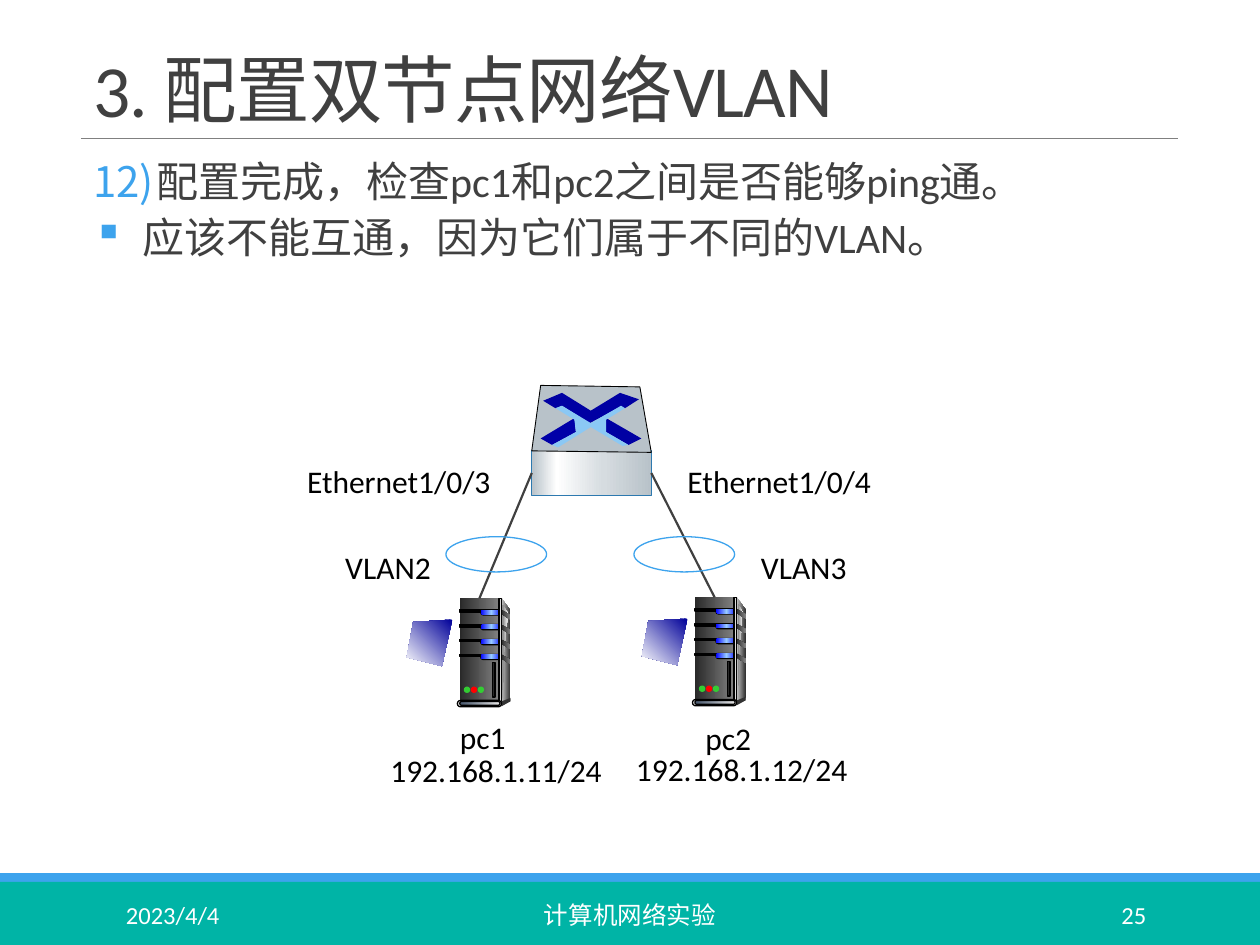
"""Build the slide on configuring VLANs in a two-node network."""
from dataclasses import dataclass, field
from typing import NamedTuple, Optional

from lxml.etree import SubElement
from pptx import Presentation
from pptx.dml.color import RGBColor
from pptx.enum.shapes import MSO_CONNECTOR as Link, MSO_SHAPE as Preset
from pptx.enum.text import MSO_ANCHOR as Anchor, MSO_AUTO_SIZE as Fit, PP_ALIGN as Align
from pptx.oxml.ns import qn
from pptx.util import Cm, Pt

WHITE, BLACK = RGBColor(255, 255, 255), RGBColor(0, 0, 0)
SKY, TEAL = RGBColor(0x3D, 0xA3, 0xED), RGBColor(0x00, 0xB4, 0xA6)
INK, RULE = RGBColor(0x40, 0x40, 0x40), RGBColor(0x80, 0x80, 0x80)
COAL, SOOT = RGBColor(0x29, 0x29, 0x29), RGBColor(0x33, 0x33, 0x33)
SILVER, PEARL = RGBColor(0xDD, 0xDD, 0xDD), RGBColor(0xF8, 0xF8, 0xF8)
BLUE, ICE = RGBColor(0, 0, 0xFF), RGBColor(0x99, 0xCC, 0xFF)
SLATE, MIST = RGBColor(0x44, 0x54, 0x6A), RGBColor(0xE7, 0xE6, 0xE6)
GREEN, RED = RGBColor(0x33, 0xCC, 0x33), RGBColor(0xFF, 0, 0)
NAVY, ROYAL, ROYAL_LEFT = RGBColor(0, 0, 0x99), RGBColor(0, 0, 0xA3), RGBColor(0, 0, 0xA8)
STEEL, FOG = RGBColor(0xB8, 0xC2, 0xC9), RGBColor(0xD6, 0xDC, 0xE0)
EDGE, GLOW = RGBColor(0x2D, 0x79, 0xAF), RGBColor(0x8B, 0xC8, 0xF4)


class Look(NamedTuple):
    """Gradient or solid fill as (percent, colour) stops, with an outline."""
    stops: tuple = ()
    line: Optional[RGBColor] = None
    width: float = 0.75
    angle: int = 0


def solid(color: RGBColor, line: Optional[RGBColor] = None, width: float = 0.75) -> Look:
    """Return a one-colour look."""
    return Look(((0, color),), line, width)


SHADE = Look(((0, COAL), (100, RULE)))
LAMP = Look(((0, BLUE), (50, ICE), (100, BLUE)))


@dataclass
class Label:
    """A text box holding one paragraph."""
    text: str
    left: float
    top: float
    width: float
    height: float = 1.02
    font: dict = field(default_factory=lambda: {"size": Pt(18)})
    frame: dict = field(default_factory=lambda: {"word_wrap": False, "auto_size": Fit.SHAPE_TO_FIT_TEXT})
    para: dict = field(default_factory=dict)
    color: RGBColor = BLACK


def apply(target, values: dict) -> None:
    """Set every named attribute on the target."""
    for name, value in values.items():
        setattr(target, name, value)


def paint(shape, look: Look):
    """Give a shape its fill and outline."""
    shape.shadow.inherit = False
    if not look.stops:
        shape.fill.background()
    elif len(look.stops) == 1:
        shape.fill.solid()
        shape.fill.fore_color.rgb = look.stops[0][1]
    else:
        shape.fill.gradient()
        shape.fill.gradient_angle = look.angle
        stop_list = shape._element.spPr.find(qn("a:gradFill")).find(qn("a:gsLst"))
        for old in list(stop_list):
            stop_list.remove(old)
        for percent, color in look.stops:
            stop = SubElement(stop_list, qn("a:gs"), pos=str(percent * 1000))
            SubElement(stop, qn("a:srgbClr"), val=str(color))
    if look.line is None:
        shape.line.fill.background()
    else:
        shape.line.color.rgb = look.line
        shape.line.width = Pt(look.width)
    return shape


def add_preset(page, kind, left: float, top: float, width: float, height: float, look: Look):
    """Draw a preset shape."""
    shape = page.shapes.add_shape(kind, Cm(left), Cm(top), Cm(width), Cm(height))
    if kind == Preset.ROUNDED_RECTANGLE:
        shape.adjustments[0] = 0.5
    return paint(shape, look)


def add_outline(page, points: list, look: Look, left: float = 0, top: float = 0):
    """Draw a closed polygon offset from a corner."""
    corners = [(Cm(left + x), Cm(top + y)) for x, y in points]
    builder = page.shapes.build_freeform(*corners[0], scale=1.0)
    builder.add_line_segments(corners[1:], close=True)
    return paint(builder.convert_to_shape(), look)


def add_line(page, start: tuple, end: tuple, color: RGBColor, width: float):
    """Draw a straight line without a shadow."""
    line = page.shapes.add_connector(Link.STRAIGHT, *map(Cm, start + end))
    line.line.color.rgb = color
    line.line.width = Pt(width)
    SubElement(line._element.spPr, qn("a:effectLst"))
    return line


def write(para, text: str, font: dict, color: RGBColor):
    """Add a run of text to a paragraph."""
    span = para.add_run()
    span.text = text
    apply(span.font, {"name": "Calibri", **font})
    span.font.color.rgb = color
    return span


def add_label(page, label: Label):
    """Draw a label and return its run."""
    box = page.shapes.add_textbox(Cm(label.left), Cm(label.top), Cm(label.width), Cm(label.height))
    apply(box.text_frame, label.frame)
    para = box.text_frame.paragraphs[0]
    apply(para, label.para)
    return write(para, label.text, label.font, label.color)


def add_bullet(para, margin: float, hang: float, tag: str, **values: str) -> None:
    """Give a paragraph a coloured bullet and a hanging indent."""
    props = para._p.get_or_add_pPr()
    props.set("marL", str(Cm(margin)))
    props.set("indent", str(-Cm(hang)))
    SubElement(SubElement(props, qn("a:buClr")), qn("a:srgbClr"), val=str(SKY))
    SubElement(props, qn(tag), **values)


def add_server(page, left: float, top: float):
    """Draw a tower computer with its screen and return the front panel."""
    def part(kind, x, y, width, height, look):
        return add_preset(page, kind, left + x, top + y, width, height, look)

    def panel(points, look):
        return add_outline(page, points, look, left, top)

    rect, pill, disc = Preset.RECTANGLE, Preset.ROUNDED_RECTANGLE, Preset.OVAL
    panel([(0.84, 0), (1.02, 0.25), (1.02, 2.01), (0.81, 2.08)], Look(((0, SILVER), (100, SOOT))))
    front = part(rect, 0, 0, 0.79, 2.08, SHADE)
    panel([(0.86, 0.13), (0.97, 0.3), (0.89, 1.1), (0.86, 2.03)], Look(((0, RULE), (100, PEARL))))
    for row in range(4):
        y = 0.23 + 0.3 * row
        part(rect, 0, y, 0.46, 0.05, solid(BLACK, BLACK))
        part(pill, 0.41, y - 0.01, 0.43, 0.13, solid(BLACK))
        part(pill, 0.42, y, 0.43, 0.1, LAMP)
        panel([(0.83, y), (1.02, y + 0.11), (1.02, y + 0.2), (0.83, y + 0.08)], SHADE)
    part(rect, 0.79, 0, 0.05, 2.08, Look(((0, SOOT), (50, SILVER), (100, SOOT)), BLACK))
    part(disc, 0.99, 2.01, 0.03, 0.08, solid(SOOT))
    panel([(0.84, 2.08), (0.84, 2.18), (1.02, 2.08), (1.02, 2.01)], solid(SOOT))
    part(pill, -0.05, 2.06, 0.89, 0.13, solid(SILVER, BLACK))
    part(pill, 0, 2.08, 0.81, 0.08, Look(((0, SLATE), (100, MIST)), BLACK))
    for index, color in enumerate((GREEN, RED, GREEN)):
        part(disc, 0.08 + 0.14 * index, 1.78, 0.13, 0.13, solid(color))
    part(rect, 0.66, 1.3, 0.05, 0.69, solid(COAL, BLACK))
    panel([(-0.15, 0.43), (-0.94, 0.48), (-1.07, 1.19), (-0.36, 1.37)],
          Look(((0, NAVY), (100, WHITE)), angle=225))
    return front


def add_switch(page):
    """Draw the network switch and return its front."""
    front = add_preset(page, Preset.RECTANGLE, 10.72, 9.09, 2.41, 0.89,
                       Look(((0, STEEL), (21, WHITE), (60, FOG), (100, STEEL)), EDGE, 0.5))
    add_outline(page, [(10.72, 9.09), (10.9, 7.77), (12.9, 7.8), (13.13, 9.12)], solid(STEEL, BLACK, 0.5))
    add_outline(page, [(12.5, 7.92), (12.88, 8.05), (12.6, 8.23), (12.52, 8.2), (11.89, 8.53), (11.33, 8.18),
                       (11.2, 8.23), (10.95, 8.08), (11.33, 7.92), (11.91, 8.28)], solid(ROYAL))
    add_outline(page, [(12.22, 8.43), (12.93, 8.84), (12.67, 8.97), (12.22, 8.71)], solid(ROYAL))
    add_outline(page, [(11.58, 8.43), (11.61, 8.71), (11.13, 8.97), (10.9, 8.84)], solid(ROYAL_LEFT))
    add_outline(page, [(11.2, 8.23), (11.33, 8.18), (11.91, 8.53), (12.52, 8.18), (12.6, 8.23), (12.22, 8.46),
                       (12.22, 8.71), (12.67, 8.97), (12.55, 8.99), (11.91, 8.61), (11.25, 9.02),
                       (11.13, 8.97), (11.61, 8.71), (11.58, 8.46)], solid(GLOW))
    return front


def add_body(page) -> None:
    """Write the numbered step and its remark."""
    frame = page.shapes.add_textbox(Cm(1.63), Cm(3.12), Cm(22.12), Cm(14.12)).text_frame
    apply(frame, {"word_wrap": True, "margin_left": 0, "margin_right": 0})
    step, remark = frame.paragraphs[0], frame.add_paragraph()
    add_bullet(step, 1.52, 1.27, "a:buAutoNum", type="arabicParenR", startAt="12")
    add_bullet(remark, 1.24, 0.99, "a:buChar", char="▪")
    apply(step, {"level": 1, "line_spacing": 0.9, "space_after": Pt(4)})
    apply(remark, {"level": 2, "line_spacing": 0.9, "space_before": Pt(2), "space_after": Pt(4)})
    write(step, "配置完成，检查pc1和pc2之间是否能够ping通。", {"size": Pt(24)}, INK)
    write(remark, "应该不能互通，因为它们属于不同的VLAN。", {"size": Pt(24)}, INK)


def main() -> None:
    """Build and save the deck."""
    deck = Presentation()
    deck.slide_width, deck.slide_height = Cm(25.4), Cm(19.05)
    page = deck.slides.add_slide(deck.slide_layouts[6])
    add_preset(page, Preset.RECTANGLE, 0, 17.6, 25.4, 0.18, solid(SKY))
    add_preset(page, Preset.RECTANGLE, 0, 17.78, 25.4, 1.27, solid(TEAL))
    add_line(page, (1.63, 2.79), (23.75, 2.79), RULE, 0.5)
    title = add_label(page, Label("3. 配置双节点网络VLAN", 1.63, 0.79, 22.12, 2.01, {"size": Pt(42)},
                                  {"word_wrap": True, "vertical_anchor": Anchor.BOTTOM},
                                  {"line_spacing": 0.85}, INK))
    title.font._element.set("spc", "-50")
    add_body(page)
    for text, left, width, align in (("2023/4/4", 2.29, 5.16, Align.LEFT),
                                     ("计算机网络实验", 7.67, 10.06, Align.CENTER),
                                     ("25", 20.62, 2.74, Align.RIGHT)):
        add_label(page, Label(text, left, 17.93, width, 1.02, {"size": Pt(14)},
                              {"word_wrap": True, "vertical_anchor": Anchor.MIDDLE},
                              {"alignment": align}, WHITE))
    servers = [add_server(page, 9.27, 12.06), add_server(page, 14.01, 12.04)]
    switch = add_switch(page)
    for server, side in zip(servers, (1, 3)):
        cable = add_line(page, (0, 0), (1, 1), INK, 1.25)
        cable.begin_connect(server, 0)
        cable.end_connect(switch, side)
    for left in (8.99, 12.78):
        add_preset(page, Preset.OVAL, left, 10.82, 2.03, 0.71, Look(line=SKY))
    for label in (Label("Ethernet1/0/3", 5.94, 9.19, 4.27), Label("Ethernet1/0/4", 13.61, 9.19, 4.27),
                  Label("pc1", 9.02, 14.35, 1.45), Label("pc2", 13.97, 14.38, 1.45),
                  Label("192.168.1.11/24", 7.62, 15.01, 4.83), Label("192.168.1.12/24", 12.57, 14.99, 4.83),
                  Label("VLAN2", 6.71, 10.92, 2.26), Label("VLAN3", 15.09, 10.92, 2.26)):
        add_label(page, label)
    deck.save("out.pptx")


if __name__ == "__main__":
    main()
